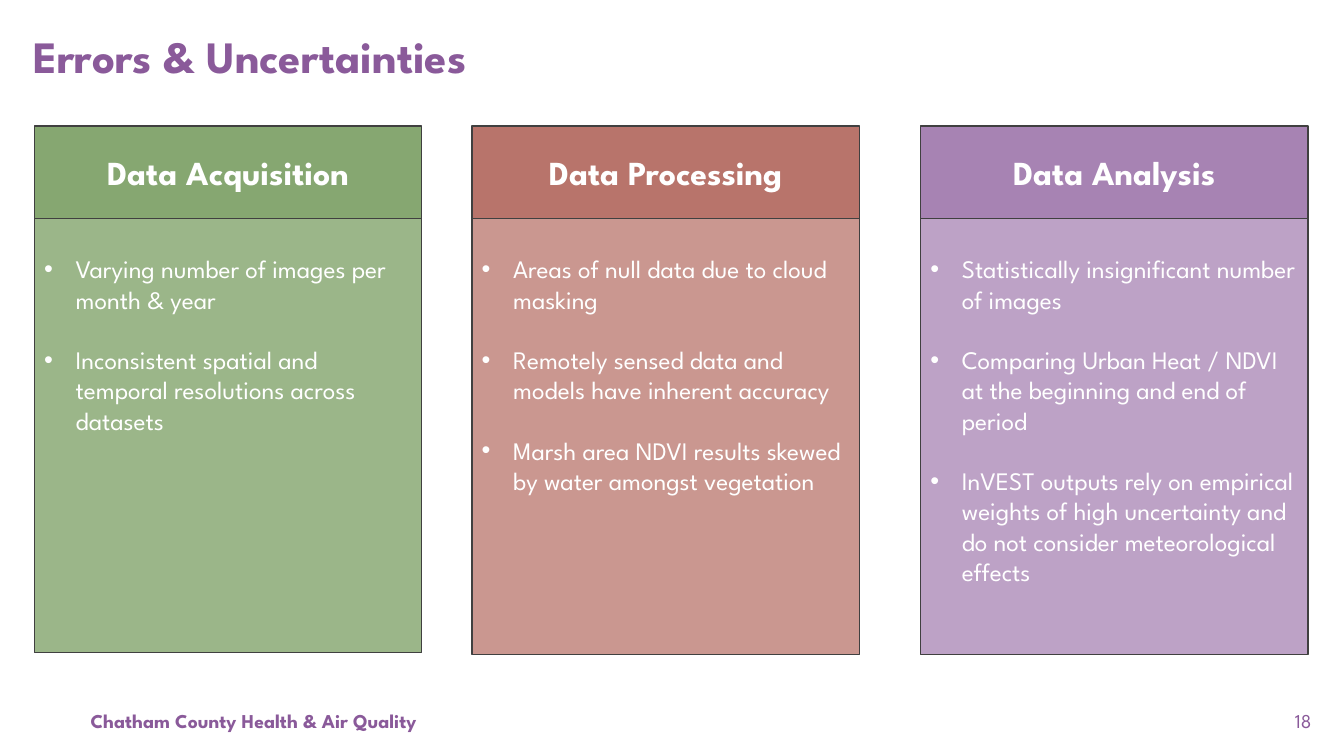
from dataclasses import dataclass

import pptx
import pptx.dml.color
import pptx.enum.shapes
import pptx.enum.text
import pptx.oxml.ns
import pptx.util
from lxml import etree

Pt = pptx.util.Pt
Align = pptx.enum.text.PP_ALIGN
Anchor = pptx.enum.text.MSO_ANCHOR
qn = pptx.oxml.ns.qn


@dataclass(frozen=True)
class Theme:
    font: str = "League Spartan"
    purple: str = "8A5A9A"
    green: str = "548235"
    red: str = "A1463A"
    white: str = "FFFFFF"
    outline: str = "404040"
    title_size: int = 32
    heading_size: int = 24
    list_size: int = 18
    footer_size: int = 14


theme = Theme()


def add_span(para, text, size, color, bold=False):
    span = para.add_run()
    span.text = text
    span.font.name = theme.font
    span.font.size = Pt(size)
    span.font.bold = bold
    span.font.color.rgb = pptx.dml.color.RGBColor.from_string(color)


def add_panel(left, top, width, height, color, opacity):
    """Add an outlined rectangle whose fill has the given opacity in percent."""
    panel = slide.shapes.add_shape(
        pptx.enum.shapes.MSO_SHAPE.RECTANGLE, Pt(left), Pt(top), Pt(width), Pt(height))
    panel.shadow.inherit = False
    panel.fill.solid()
    panel.fill.fore_color.rgb = pptx.dml.color.RGBColor.from_string(color)
    fill_color = panel.fill._xPr.find(qn("a:solidFill"))[0]
    etree.SubElement(fill_color, qn("a:alpha"), val=str(opacity * 1000))
    panel.line.color.rgb = pptx.dml.color.RGBColor.from_string(theme.outline)
    panel.line.width = Pt(1)
    return panel


deck = pptx.Presentation()
deck.slide_width, deck.slide_height = Pt(960), Pt(540)
slide = deck.slides.add_slide(deck.slide_layouts[5])

# Title
title = slide.shapes.title
title.left, title.top, title.width, title.height = Pt(16.6), Pt(20.9), Pt(926), Pt(60)
title.text_frame.vertical_anchor = Anchor.TOP
title.text_frame.auto_size = pptx.enum.text.MSO_AUTO_SIZE.NONE
para = title.text_frame.paragraphs[0]
para.alignment = Align.LEFT
para.line_spacing = 0.9
add_span(para, "Errors & Uncertainties", theme.title_size, theme.purple, bold=True)

# Three columns: left, colour, heading and list opacity, list height, heading, points
columns = [
    (24.5, theme.green, 70, 58, 310.3, "Data Acquisition", [
        "Varying number of images per month\u00a0& year",
        "Inconsistent spatial and temporal resolutions across datasets",
    ]),
    (337, theme.red, 75, 56, 311.5, "Data Processing", [
        "Areas of null data due to cloud masking",
        "Remotely sensed data and models have inherent accuracy",
        "Marsh area NDVI results skewed by water amongst vegetation",
    ]),
    (657.4, theme.purple, 75, 56, 311.5, "Data Analysis", [
        "Statistically insignificant number of images",
        "Comparing Urban Heat / NDVI at the beginning and end of period",
        "InVEST outputs rely on empirical weights of high uncertainty "
        "and do not consider meteorological effects",
    ]),
]
column_width, heading_top, heading_height = 276.8, 90, 66
list_gap = 21.6
indent = Pt(22.5)

for left, color, heading_opacity, list_opacity, list_height, heading, points in columns:
    box = add_panel(left, heading_top + heading_height, column_width, list_height,
                    color, list_opacity)
    frame = box.text_frame
    frame.vertical_anchor = Anchor.TOP
    frame.margin_top = Pt(3.6 + list_gap)
    for number, point in enumerate(points):
        para = frame.add_paragraph() if number else frame.paragraphs[0]
        para.alignment = Align.LEFT
        if number:
            para.space_before = Pt(list_gap)
        properties = para._p.get_or_add_pPr()
        properties.set("marL", str(indent))
        properties.set("indent", str(-indent))
        bullet_color = etree.SubElement(properties, qn("a:buClr"))
        etree.SubElement(bullet_color, qn("a:srgbClr"), val=theme.white)
        etree.SubElement(properties, qn("a:buFont"), typeface="Arial")
        etree.SubElement(properties, qn("a:buChar"), char="•")
        add_span(para, point, theme.list_size, theme.white)

    box = add_panel(left, heading_top, column_width, heading_height, color, heading_opacity)
    box.text_frame.vertical_anchor = Anchor.MIDDLE
    para = box.text_frame.paragraphs[0]
    para.alignment = Align.CENTER
    add_span(para, heading, theme.heading_size, theme.white, bold=True)

# Footer and page number
footers = [
    (57.6, 845.3, "Chatham County Health & Air Quality", Align.LEFT, True),
    (903.6, 40.3, "18", Align.RIGHT, False),
]
for left, width, text, alignment, bold in footers:
    box = slide.shapes.add_textbox(Pt(left), Pt(498.2), Pt(width), Pt(33.8))
    box.text_frame.word_wrap = True
    box.text_frame.vertical_anchor = Anchor.MIDDLE
    para = box.text_frame.paragraphs[0]
    para.alignment = alignment
    add_span(para, text, theme.footer_size, theme.purple, bold)

deck.save("out.pptx")
